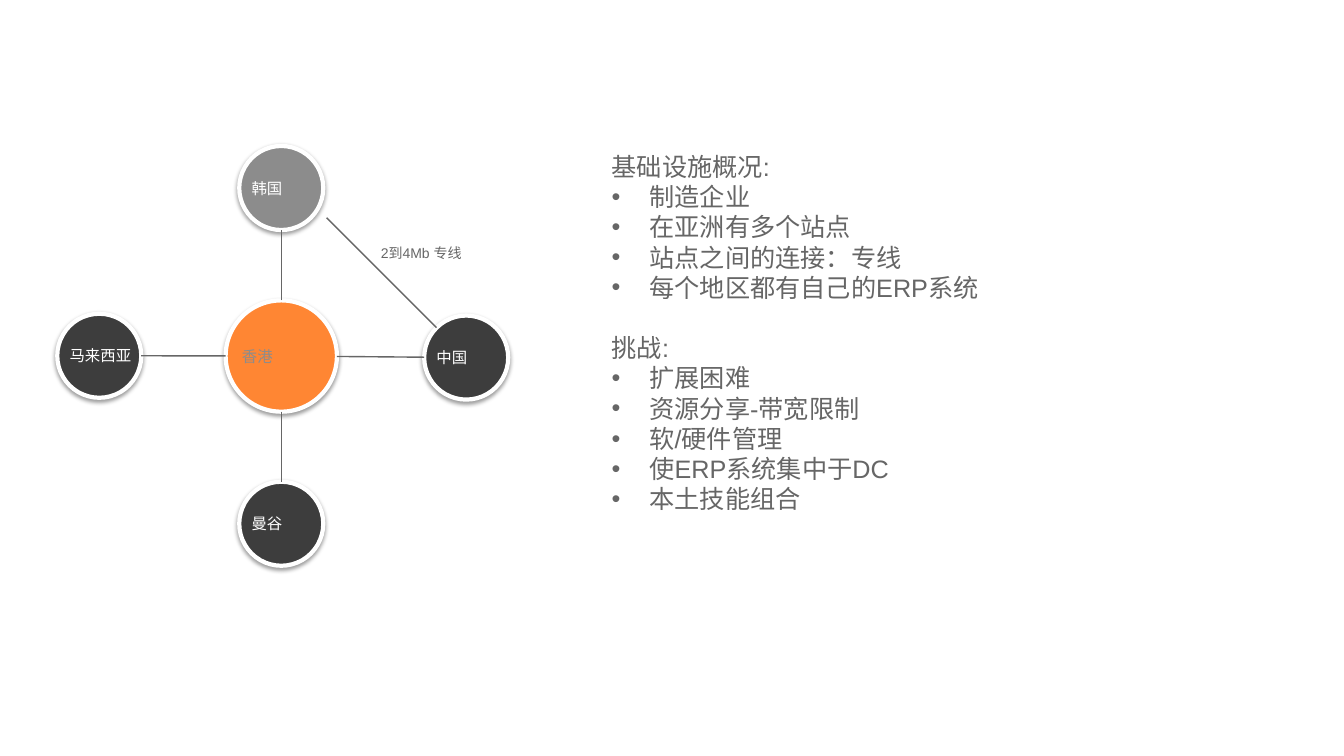
"""Build a slide showing a regional site network beside its overview and challenges."""
from dataclasses import dataclass
from math import hypot

from lxml import etree
from pptx import Presentation
from pptx import util as u
from pptx.dml.color import RGBColor
from pptx.enum import shapes, text
from pptx.oxml import ns, parse_xml

WHITE = RGBColor(0xFF, 0xFF, 0xFF)
ORANGE = RGBColor(0xFF, 0x86, 0x33)
MID_GRAY = RGBColor(0x8C, 0x8C, 0x8C)
DARK_GRAY = RGBColor(0x3D, 0x3D, 0x3D)
TEXT_GRAY = RGBColor(0x66, 0x66, 0x66)

FONT = "Arial"
BULLET_INDENT = 27
SECTION_GAP = 21.6
SHADOW = (
    f'<a:effectLst {ns.nsdecls("a")}>'
    '<a:outerShdw blurRad="39370" dist="20320" dir="5400000" rotWithShape="0">'
    '<a:srgbClr val="000000"><a:alpha val="38000"/></a:srgbClr>'
    '</a:outerShdw></a:effectLst>'
)


@dataclass(frozen=True)
class Site:
    name: str
    x: float
    y: float
    fill: RGBColor
    diameter: float = 60
    color: RGBColor = WHITE


@dataclass(frozen=True)
class Section:
    heading: str
    points: tuple[str, ...]


HONG_KONG = Site("香港", 200.9, 254.3, ORANGE, 79.5, MID_GRAY)
BRANCHES = (
    Site("韩国", 200.9, 134.3, MID_GRAY),
    Site("中国", 333, 255.4, DARK_GRAY),
    Site("马来西亚", 70.9, 254.1, DARK_GRAY),
    Site("曼谷", 200.9, 374.1, DARK_GRAY),
)
KOREA_TO_CHINA = ((233.3, 155.5), (311.8, 234))
SECTIONS = (
    Section("基础设施概况:", (
        "制造企业", "在亚洲有多个站点", "站点之间的连接：专线", "每个地区都有自己的ERP系统")),
    Section("挑战:", (
        "扩展困难", "资源分享-带宽限制", "软/硬件管理", "使ERP系统集中于DC", "本土技能组合")),
)


def write(paragraph, words: str, *, size: float, color: RGBColor = TEXT_GRAY,
          bullet: bool = False, before: float = 0) -> None:
    """Fill a paragraph with formatted words."""
    paragraph.alignment = text.PP_ALIGN.LEFT
    if before:
        paragraph.space_before = u.Pt(before)
    if bullet:
        properties = paragraph._p.get_or_add_pPr()
        properties.set("marL", str(u.Pt(BULLET_INDENT)))
        properties.set("indent", str(-u.Pt(BULLET_INDENT)))
        etree.SubElement(properties, ns.qn("a:buFont"), typeface=FONT)
        etree.SubElement(properties, ns.qn("a:buChar"), char="•")
    run = paragraph.add_run()
    run.text = words
    run.font.name = FONT
    run.font.size = u.Pt(size)
    run.font.color.rgb = color


def add_frame(slide, left: float, top: float, width: float, height: float):
    """Add a wrapping text box and return its text frame."""
    frame = slide.shapes.add_textbox(*map(u.Pt, (left, top, width, height))).text_frame
    frame.word_wrap = True
    frame.auto_size = text.MSO_AUTO_SIZE.SHAPE_TO_FIT_TEXT
    return frame


def draw_sections(slide) -> None:
    """Write the headed bullet lists."""
    frame = add_frame(slide, 429.8, 104.4, 503.3, 290.9)
    paragraph = frame.paragraphs[0]
    for number, section in enumerate(SECTIONS):
        if number:
            paragraph = frame.add_paragraph()
        write(paragraph, section.heading, size=18, before=SECTION_GAP if number else 0)
        for point in section.points:
            write(frame.add_paragraph(), point, size=18, bullet=True)


def draw_site(slide, site: Site) -> None:
    """Draw a site as a shadowed circle."""
    radius = site.diameter / 2
    circle = slide.shapes.add_shape(
        shapes.MSO_SHAPE.FLOWCHART_CONNECTOR,
        *map(u.Pt, (site.x - radius, site.y - radius, site.diameter, site.diameter)))
    circle.fill.solid()
    circle.fill.fore_color.rgb = site.fill
    circle.line.color.rgb = WHITE
    circle.line.width = u.Pt(3)
    circle._element.spPr.append(parse_xml(SHADOW))
    frame = circle.text_frame
    frame.margin_left = frame.margin_right = frame.margin_top = frame.margin_bottom = 0
    frame.vertical_anchor = text.MSO_ANCHOR.MIDDLE
    frame.word_wrap = False
    write(frame.paragraphs[0], site.name, size=11, color=site.color)


def draw_link(slide, start: tuple[float, float], end: tuple[float, float]) -> None:
    """Draw a plain line between two points."""
    link = slide.shapes.add_connector(
        shapes.MSO_CONNECTOR.STRAIGHT, *map(u.Pt, (*start, *end)))
    link.line.color.rgb = TEXT_GRAY
    link.line.width = u.Pt(1)
    etree.SubElement(link._element.spPr, ns.qn("a:effectLst"))


def edge_point(site: Site, toward: Site) -> tuple[float, float]:
    """Return the point on a site's rim that faces another site."""
    dx, dy = toward.x - site.x, toward.y - site.y
    scale = site.diameter / 2 / hypot(dx, dy)
    return site.x + dx * scale, site.y + dy * scale


def main() -> None:
    """Build and save the slide."""
    deck = Presentation()
    deck.slide_width, deck.slide_height = u.Pt(960), u.Pt(540)
    slide = deck.slides.add_slide(deck.slide_layouts[6])
    draw_sections(slide)
    for site in (HONG_KONG, *BRANCHES):
        draw_site(slide, site)
    for branch in BRANCHES:
        draw_link(slide, edge_point(HONG_KONG, branch), edge_point(branch, HONG_KONG))
    draw_link(slide, *KOREA_TO_CHINA)
    bandwidth = add_frame(slide, 265, 171.4, 113.8, 19.4)
    write(bandwidth.paragraphs[0], "2到4Mb 专线", size=10)
    deck.save("out.pptx")


if __name__ == "__main__":
    main()
